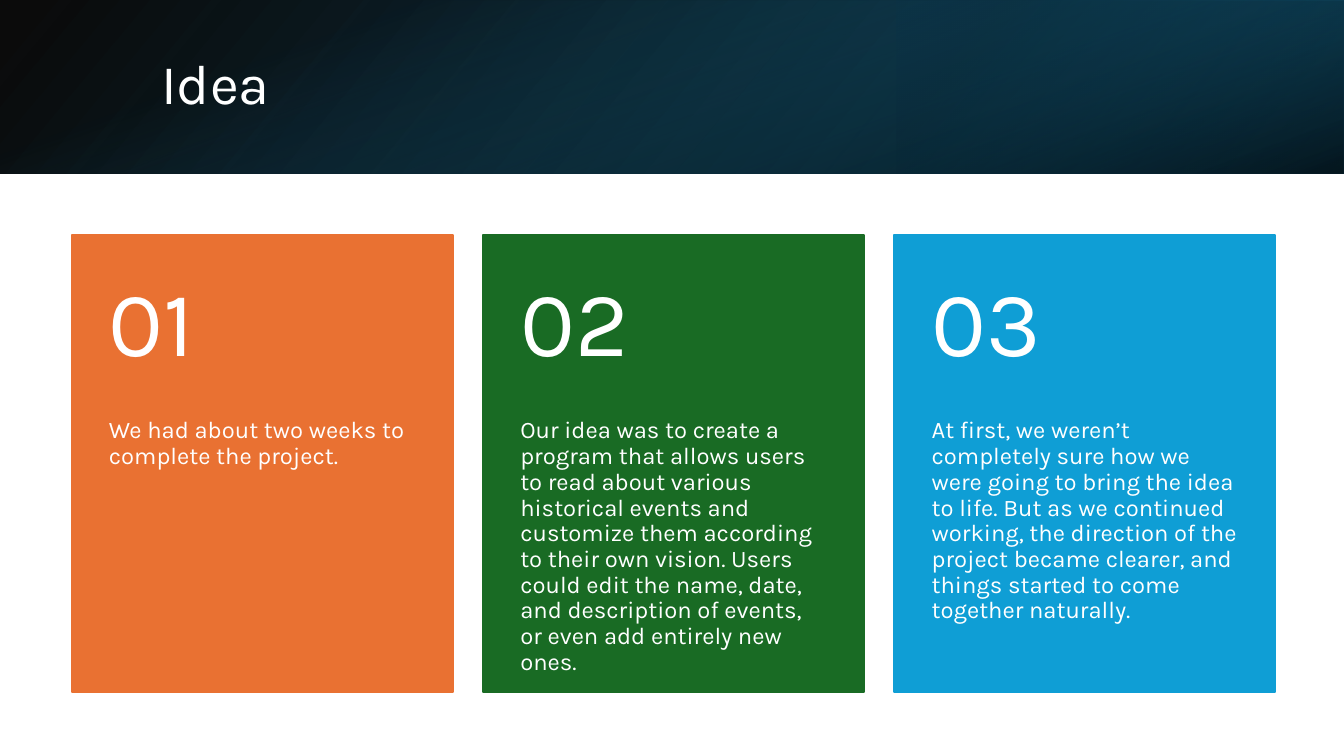
from lxml.etree import SubElement
from pptx import Presentation
from pptx.dml.color import RGBColor
from pptx.enum.shapes import MSO_SHAPE
from pptx.enum.text import MSO_ANCHOR, MSO_AUTO_SIZE, PP_ALIGN
from pptx.oxml.ns import qn
from pptx.util import Inches, Pt

COLORS = {
    "white": "FFFFFF", "black": "000000", "teal": "156082",
    "deep": "104862", "navy": "0B3041",
    "orange": "E97132", "green": "196B24", "blue": "0F9ED5",
}

# Box, rotation, flip, clockwise angle, stops of (percent, color, opacity)
BANDS = [
    ((0, 0, 13.33, 1.72), 0, True, 140,
     [(0, "black", 96), (100, "deep", 100)]),
    ((8.89, 0, 4.44, 1.72), 180, True, 320,
     [(19, "navy", 68), (100, "teal", 79)]),
    ((5.8, -5.8, 1.72, 13.33), 90, False, 340,
     [(23, "teal", 0), (99, "black", 74)]),
]

CARDS = [
    ("orange", "We had about two weeks to complete the project."),
    ("green", "Our idea was to create a program that allows users to read "
     "about various historical events and customize them according to their "
     "own vision. Users could edit the name, date, and description of "
     "events, or even add entirely new ones."),
    ("blue", "At first, we weren’t completely sure how we were going to "
     "bring the idea to life. But as we continued working, the direction of "
     "the project became clearer, and things started to come together "
     "naturally."),
]

LEFT, TOP, WIDTH, PITCH = 0.71, 2.33, 3.78, 4.08
HEAD, BODY = 1.82, 2.72

FRAME = {"word_wrap": True, "auto_size": MSO_AUTO_SIZE.NONE}
SIDES = {"margin_left": Inches(0.37), "margin_right": Inches(0.37)}
NUMBER = {**FRAME, **SIDES, "vertical_anchor": MSO_ANCHOR.MIDDLE,
          "margin_top": Inches(0.18), "margin_bottom": Inches(0.18)}
DETAIL = {**FRAME, **SIDES, "vertical_anchor": MSO_ANCHOR.TOP,
          "margin_top": 0, "margin_bottom": Inches(0.36)}
TITLE = {**FRAME, "vertical_anchor": MSO_ANCHOR.MIDDLE}


def color(name):
    return RGBColor.from_string(COLORS[name])


def apply(target, values):
    for name, value in values.items():
        setattr(target, name, value)


def write(shape, text, size, frame):
    """Put one white paragraph into a shape."""
    apply(shape.text_frame, frame)
    para = shape.text_frame.paragraphs[0]
    apply(para, {"line_spacing": 0.9, "alignment": PP_ALIGN.LEFT})
    run = para.add_run()
    run.text = text
    apply(run.font, {"size": Pt(size), "name": "Karla"})
    run.font.color.rgb = color("white")


def add_rect(shapes, box):
    rect = shapes.add_shape(MSO_SHAPE.RECTANGLE, *map(Inches, box))
    rect.shadow.inherit = False
    return rect


def add_band(shapes, box, turn, flip, angle, stops):
    """Add a translucent gradient layer of the header."""
    band = add_rect(shapes, box)
    band.rotation = turn
    if flip:
        band.element.spPr.find(qn("a:xfrm")).set("flipH", "1")
    band.line.fill.background()
    band.fill.gradient()
    band.fill.gradient_angle = 360 - angle
    for stop, (place, name, _) in zip(band.fill.gradient_stops, stops):
        stop.position = place / 100
        stop.color.rgb = color(name)
    tints = band.element.spPr.iter(qn("a:srgbClr"))
    for tint, (_, _, alpha) in zip(list(tints), stops):
        SubElement(tint, qn("a:alpha")).set("val", str(alpha * 1000))


def add_text(shapes, box, text, size, frame):
    write(shapes.add_textbox(*map(Inches, box)), text, size, frame)


def add_card(shapes, index, name, text):
    """Add a colored card with its number and detail."""
    left = LEFT + index * PITCH
    card = add_rect(shapes, (left, TOP, WIDTH, HEAD + BODY))
    card.fill.solid()
    card.fill.fore_color.rgb = color(name)
    card.line.color.rgb = color(name)
    card.line.width = Pt(1.5)
    add_text(shapes, (left, TOP + HEAD, WIDTH, BODY), text, 17, DETAIL)
    add_text(shapes, (left, TOP, WIDTH, HEAD), f"{index + 1:02}", 66, NUMBER)


def main():
    deck = Presentation()
    apply(deck, {"slide_width": Inches(13.33), "slide_height": Inches(7.5)})
    slide = deck.slides.add_slide(deck.slide_layouts[5])
    slide.background.fill.solid()
    slide.background.fill.fore_color.rgb = color("white")

    # Header
    for band in BANDS:
        add_band(slide.shapes, *band)
    title = slide.shapes.title
    apply(title, {"left": Inches(1.5), "top": Inches(0.38),
                  "width": Inches(10.98), "height": Inches(0.96)})
    write(title, "Idea", 40, TITLE)
    title.element.getparent().append(title.element)  # above the bands

    # Cards
    group = slide.shapes.add_group_shape()
    for index, (name, text) in enumerate(CARDS):
        add_card(group.shapes, index, name, text)

    deck.save("out.pptx")


if __name__ == "__main__":
    main()
